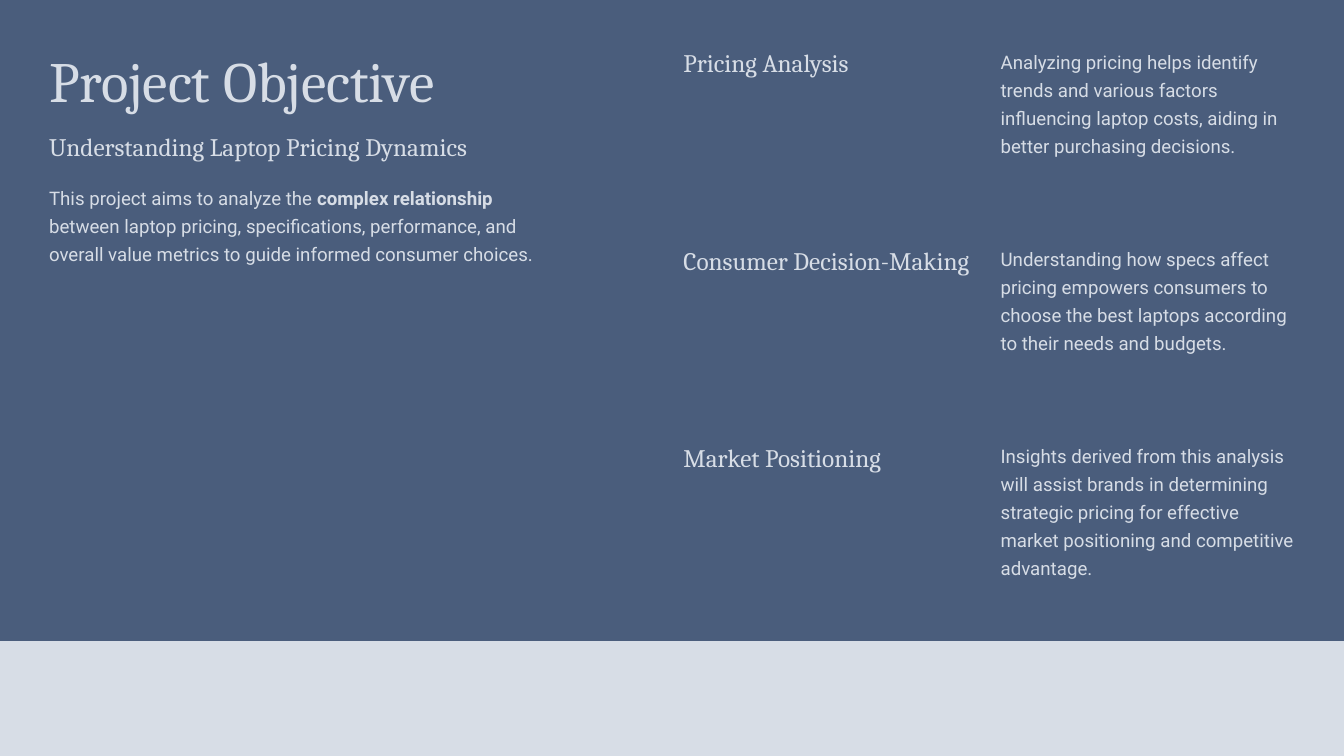
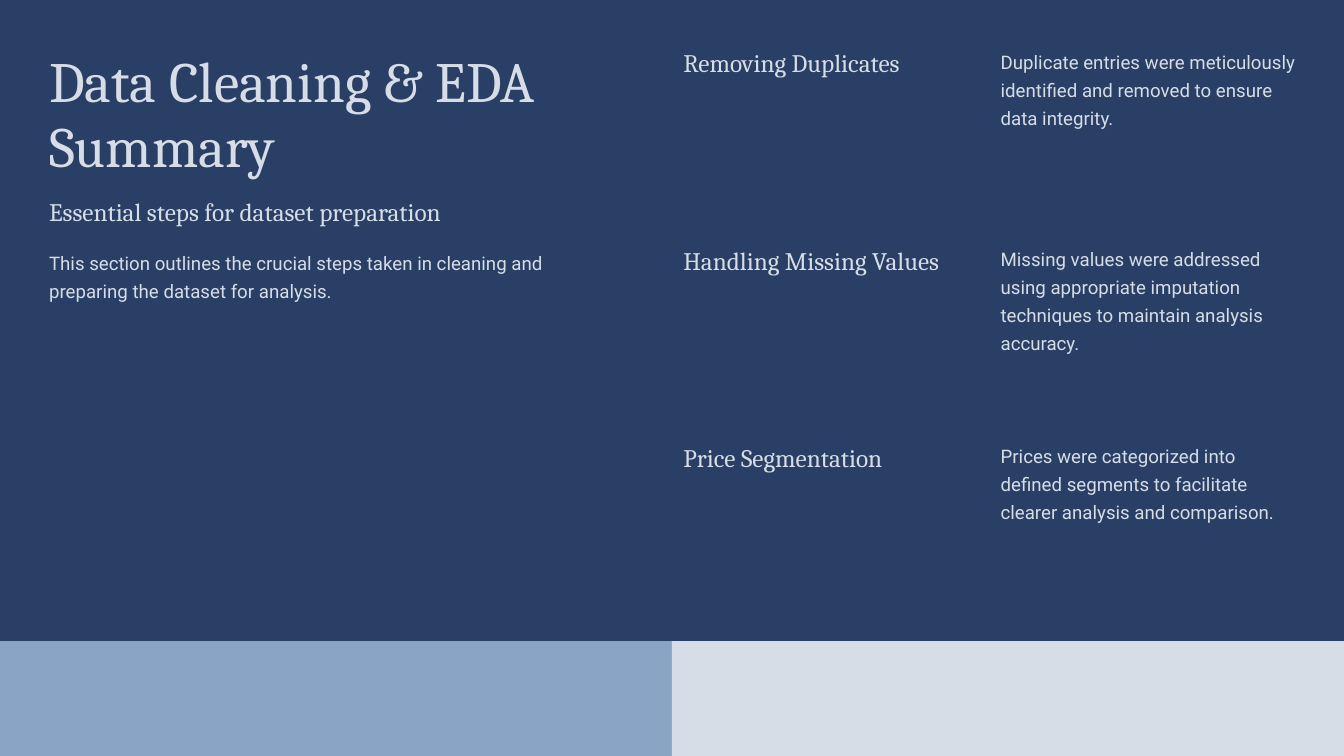
import pptx
import pptx.dml.color
import pptx.enum.shapes
import pptx.enum.text
import pptx.util

Inches = pptx.util.Inches
Pt = pptx.util.Pt
RGBColor = pptx.dml.color.RGBColor

SLATE = RGBColor(0x4A, 0x5D, 0x7C)
NAVY = RGBColor(0x2A, 0x3F, 0x66)
SKY = RGBColor(0x89, 0xA4, 0xC4)
PALE = RGBColor(0xD7, 0xDD, 0xE6)

# Text styles: font, size, line spacing (points)
TITLE = ("Cambria", 61, 70.1)
HEADING = ("Cambria", 27, 31)
BODY = ("Roboto", 20, 30)

LEFT_X, LEFT_W = 0.73, 7.53
HEADING_X, BODY_X, COLUMN_W = 10.17, 14.89, 4.39
TITLE_Y, TITLE_LINE = 0.72, 0.97
ROW_Y, ROW_STEP = 0.67, 2.935
BAND_Y, BAND_W, BAND_H = 9.54, 10, 1.71

SLIDES = [
    {
        "background": SLATE,
        "bands": [PALE, PALE],
        "title": "Project Objective",
        "title_lines": 1,
        "subtitle": "Understanding Laptop Pricing Dynamics",
        "intro": "This project aims to analyze the **complex relationship** between laptop pricing, "
                 "specifications, performance, and overall value metrics to guide informed "
                 "consumer choices.",
        "intro_lines": 3,
        "rows": [
            ("Pricing Analysis", 4,
             "Analyzing pricing helps identify trends and various factors influencing laptop "
             "costs, aiding in better purchasing decisions."),
            ("Consumer Decision-Making", 4,
             "Understanding how specs affect pricing empowers consumers to choose the best "
             "laptops according to their needs and budgets."),
            ("Market Positioning", 5,
             "Insights derived from this analysis will assist brands in determining strategic "
             "pricing for effective market positioning and competitive advantage."),
        ],
    },
    {
        "background": NAVY,
        "bands": [SKY, PALE],
        "title": "Data Cleaning & EDA Summary",
        "title_lines": 2,
        "subtitle": "Essential steps for dataset preparation",
        "intro": "This section outlines the crucial steps taken in cleaning and preparing the "
                 "dataset for analysis.",
        "intro_lines": 2,
        "rows": [
            ("Removing Duplicates", 3,
             "Duplicate entries were meticulously identified and removed to ensure data "
             "integrity."),
            ("Handling Missing Values", 4,
             "Missing values were addressed using appropriate imputation techniques to maintain "
             "analysis accuracy."),
            ("Price Segmentation", 3,
             "Prices were categorized into defined segments to facilitate clearer analysis and "
             "comparison."),
        ],
    },
]


def add_text(s, text, style, x, y, w, lines=1):
    """Add a text box sized for its lines; text between ** marks is bold."""
    font, size, spacing = style
    tf = s.shapes.add_textbox(Inches(x), Inches(y), Inches(w), Pt(lines * spacing)).text_frame
    tf.margin_left = tf.margin_right = tf.margin_top = tf.margin_bottom = 0
    tf.word_wrap = True
    tf.auto_size = pptx.enum.text.MSO_AUTO_SIZE.SHAPE_TO_FIT_TEXT
    p = tf.paragraphs[0]
    p.line_spacing = Pt(spacing)
    p.font.name = font
    p.font.size = Pt(size)
    p.font.color.rgb = PALE
    for i, part in enumerate(text.split("**")):
        r = p.add_run()
        r.text = part
        if i % 2:
            r.font.bold = True


prs = pptx.Presentation()
prs.slide_width = Inches(20)
prs.slide_height = Inches(11.25)

for content in SLIDES:
    s = prs.slides.add_slide(prs.slide_layouts[6])
    s.background.fill.solid()
    s.background.fill.fore_color.rgb = content["background"]

    for i, color in enumerate(content["bands"]):
        sp = s.shapes.add_shape(pptx.enum.shapes.MSO_SHAPE.RECTANGLE, Inches(i * BAND_W),
                                Inches(BAND_Y), Inches(BAND_W), Inches(BAND_H))
        sp.shadow.inherit = False
        sp.fill.solid()
        sp.fill.fore_color.rgb = color
        sp.line.fill.background()

    subtitle_y = TITLE_Y + content["title_lines"] * TITLE_LINE + 0.28
    add_text(s, content["title"], TITLE, LEFT_X, TITLE_Y, LEFT_W, content["title_lines"])
    add_text(s, content["subtitle"], HEADING, LEFT_X, subtitle_y, LEFT_W)
    add_text(s, content["intro"], BODY, LEFT_X, subtitle_y + 0.73, LEFT_W, content["intro_lines"])

    for i, (heading, lines, body) in enumerate(content["rows"]):
        y = ROW_Y + i * ROW_STEP
        add_text(s, heading, HEADING, HEADING_X, y + 0.06, COLUMN_W)
        add_text(s, body, BODY, BODY_X, y, COLUMN_W, lines)

prs.save("out.pptx")
